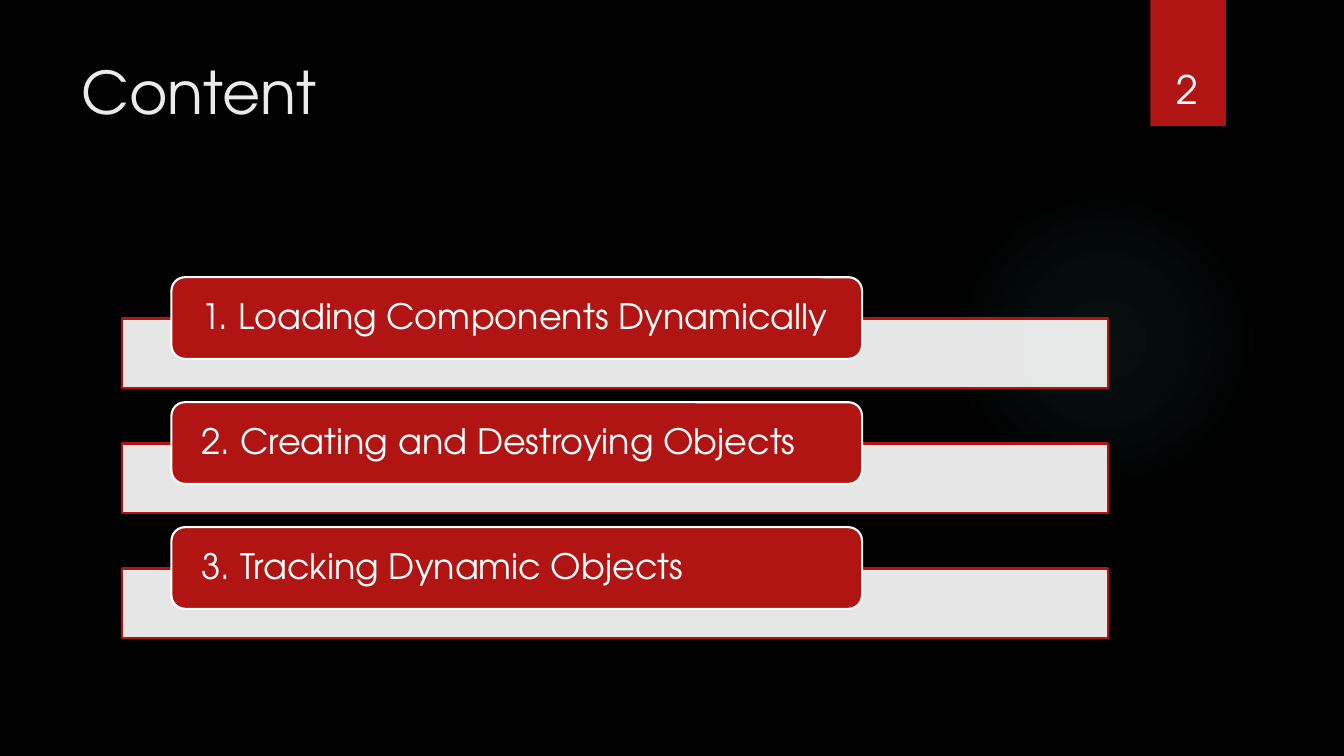
from pptx import Presentation
from pptx.dml.color import RGBColor
from pptx.enum.shapes import MSO_SHAPE as Shape
from pptx.enum.text import MSO_ANCHOR as Anchor, PP_ALIGN as Align
from pptx.oxml import parse_xml
from pptx.oxml.ns import nsdecls, qn
from pptx.util import Inches, Pt

FONT = "TeX Gyre Adventor"
COLORS = {
    "background": "000000",
    "red": "B01513",
    "white": "FFFFFF",
    "title": "EBEBEB",
    "glow": "50B9C1",
}
TOPICS = [
    "1. Loading Components Dynamically",
    "2. Creating and Destroying Objects",
    "3. Tracking Dynamic Objects",
]
FIRST_TOP, PITCH = 2.75, 1.24


def add_block(kind, left, top, width, height, fill, line=None):
    block = page.shapes.add_shape(
        kind, Inches(left), Inches(top), Inches(width), Inches(height))
    block.shadow.inherit = False
    block.fill.solid()
    block.fill.fore_color.rgb = RGBColor.from_string(COLORS[fill])
    if line:
        block.line.color.rgb = RGBColor.from_string(COLORS[line])
        block.line.width = Pt(1.5)
    else:
        block.line.fill.background()
    return block


def write(shape, text, size, color, anchor, align=Align.LEFT):
    frame = shape.text_frame
    frame.word_wrap = True
    frame.vertical_anchor = anchor
    para = frame.paragraphs[0]
    para.text = text
    para.alignment = align
    para.font.name = FONT
    para.font.size = Pt(size)
    para.font.color.rgb = RGBColor.from_string(COLORS[color])
    return frame


deck = Presentation()
deck.slide_width, deck.slide_height = Inches(13.33), Inches(7.5)
page = deck.slides.add_slide(deck.slide_layouts[6])
page.background.fill.solid()
page.background.fill.fore_color.rgb = RGBColor.from_string(COLORS["background"])

# Soft round glow, fading outwards
glow = add_block(Shape.OVAL, 9.41, 1.83, 3.08, 3.08, "glow")
stops = "".join(
    f'<a:gs pos="{place * 1000}"><a:srgbClr val="{COLORS["glow"]}">'
    f'<a:alpha val="{alpha * 1000}"/></a:srgbClr></a:gs>'
    for place, alpha in [(0, 7), (36, 6), (69, 0), (100, 0)])
gradient = parse_xml(
    f'<a:gradFill {nsdecls("a")} rotWithShape="1"><a:gsLst>{stops}</a:gsLst>'
    '<a:path path="circle"><a:fillToRect l="50000" t="50000" r="50000" b="50000"/>'
    '</a:path></a:gradFill>')
glow_properties = glow._element.spPr
glow_properties.replace(glow_properties.find(qn("a:solidFill")), gradient)

# Title and page number
add_block(Shape.RECTANGLE, 11.41, 0, 0.75, 1.25, "red")
title = page.shapes.add_textbox(Inches(0.71), Inches(0.5), Inches(10.29), Inches(1.53))
write(title, "Content", 42, "title", Anchor.TOP)
number = page.shapes.add_textbox(Inches(11.32), Inches(0.32), Inches(0.92), Inches(0.84))
write(number, "2", 28, "white", Anchor.BOTTOM, Align.CENTER)

# Topics: a pale bar with a red label overlapping its top edge
for index, topic in enumerate(TOPICS):
    top = FIRST_TOP + index * PITCH
    bar = add_block(Shape.RECTANGLE, 1.21, top + 0.41, 9.78, 0.69, "white", "red")
    bar_color = bar._element.spPr.find(qn("a:solidFill"))[0]
    bar_color.append(parse_xml(f'<a:alpha {nsdecls("a")} val="90000"/>'))

    label = add_block(Shape.ROUNDED_RECTANGLE, 1.7, top, 6.85, 0.81, "red", "white")
    frame = write(label, topic, 25, "white", Anchor.MIDDLE)
    frame.margin_left = frame.margin_right = Inches(0.26)
    frame.margin_top = frame.margin_bottom = 0
    frame.paragraphs[0].line_spacing = 0.9

deck.save("out.pptx")
